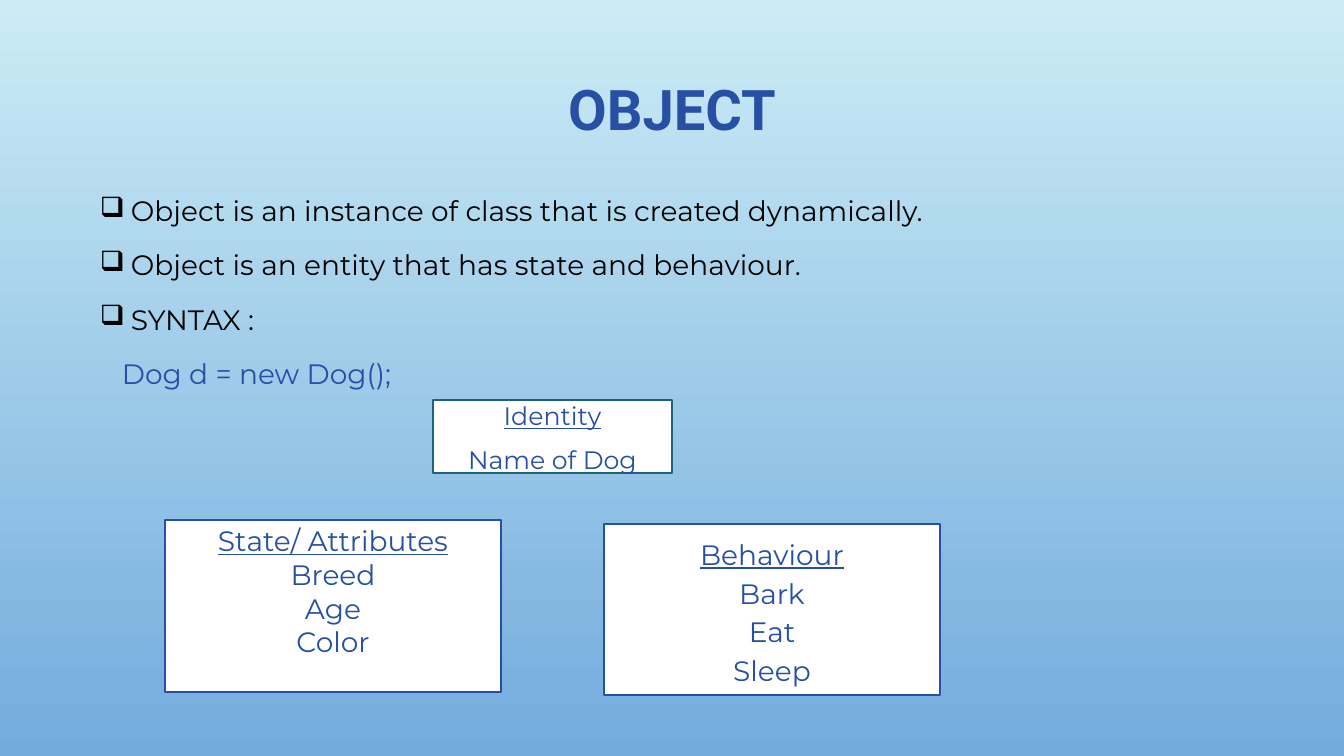
"""Build a slide that explains what an object is, with its identity, state and behaviour."""
from lxml import etree
from pptx import Presentation
from pptx import util as u
from pptx.dml.color import RGBColor
from pptx.enum import shapes, text
from pptx.oxml import ns

EMU_PER_PX = 914400 / 100.8
COLORS = {
    "sky": "CBECF5",
    "deep_sky": "73ABDD",
    "blue": "274FA4",
    "teal": "1C647B",
    "black": "000000",
    "white": "FFFFFF",
}
FONT = "Montserrat"
TITLE = {"text": "OBJECT", "box": (101, 69, 1142, 87)}
BODY_BOX = (90, 182, 1154, 497)
BULLET = "❑"
BULLET_INDENT = 31
CODE_INDENT = 22
BODY_LINES = [
    ("Object is an instance of class that is created dynamically.", True),
    ("Object is an entity that has state and behaviour.", True),
    ("SYNTAX :", True),
    ("Dog d = new Dog();", False),
]
CARDS = [
    {"lines": ["State/ Attributes", "Breed", "Age", "Color"], "box": (165, 520, 336, 172),
     "border": "blue", "size": 20, "spacing": 1.0, "after": 0, "anchor": "TOP", "pad": 4},
    {"lines": ["Behaviour", "Bark", "Eat", "Sleep"], "box": (604, 524, 336, 171),
     "border": "blue", "size": 20, "spacing": 1.07, "after": 2, "anchor": "TOP", "pad": 11},
    {"lines": ["Identity", "Name of Dog"], "box": (433, 400, 239, 73),
     "border": "teal", "size": 18, "spacing": 1.07, "after": 8, "anchor": "MIDDLE", "pad": 5},
]


def px(length):
    return u.Emu(round(length * EMU_PER_PX))


def place(box):
    return [px(length) for length in box]


def color(name):
    return RGBColor.from_string(COLORS[name])


def set_font(paragraph, name, size, color_name):
    font = paragraph.font
    font.name, font.size = name, u.Pt(size)
    font.color.rgb = color(color_name)
    return font


def fill_lines(frame, lines):
    frame.word_wrap = True
    frame.text = "\n".join(lines)
    return frame.paragraphs


def set_indent(paragraph, left, bullet):
    properties = paragraph._p.get_or_add_pPr()
    properties.set("marL", str(px(left)))
    properties.set("indent", str(-px(left) if bullet else 0))
    if bullet:
        etree.SubElement(properties, ns.qn("a:buChar")).set("char", BULLET)
    else:
        etree.SubElement(properties, ns.qn("a:buNone"))


def add_title(slide):
    title = slide.shapes.title
    title.left, title.top, title.width, title.height = place(TITLE["box"])
    frame = title.text_frame
    frame.vertical_anchor = text.MSO_ANCHOR.MIDDLE
    paragraph = fill_lines(frame, [TITLE["text"]])[0]
    paragraph.alignment = text.PP_ALIGN.CENTER
    paragraph.line_spacing = 0.9
    set_font(paragraph, "Roboto", 40, "blue").bold = True


def add_body(slide):
    frame = slide.shapes.add_textbox(*place(BODY_BOX)).text_frame
    paragraphs = fill_lines(frame, [line for line, _ in BODY_LINES])
    for paragraph, (_, bullet) in zip(paragraphs, BODY_LINES):
        paragraph.line_spacing = 1.2
        paragraph.space_before = u.Pt(10)
        set_indent(paragraph, BULLET_INDENT if bullet else CODE_INDENT, bullet)
        set_font(paragraph, FONT, 20, "black" if bullet else "blue")


def add_card(slide, card):
    shape = slide.shapes.add_shape(shapes.MSO_SHAPE.RECTANGLE, *place(card["box"]))
    shape.shadow.inherit = False
    shape.fill.solid()
    shape.fill.fore_color.rgb = color("white")
    shape.line.color.rgb = color(card["border"])
    shape.line.width = u.Pt(1.25)
    frame = shape.text_frame
    frame.vertical_anchor = text.MSO_ANCHOR[card["anchor"]]
    frame.margin_top = px(card["pad"])
    for index, paragraph in enumerate(fill_lines(frame, card["lines"])):
        paragraph.alignment = text.PP_ALIGN.CENTER
        paragraph.line_spacing = card["spacing"]
        paragraph.space_after = u.Pt(card["after"])
        set_font(paragraph, FONT, card["size"], "blue").underline = index == 0


def main():
    presentation = Presentation()
    presentation.slide_width, presentation.slide_height = px(1344), px(756)
    slide = presentation.slides.add_slide(presentation.slide_layouts.get_by_name("Title Only"))
    background = slide.background.fill
    background.gradient()
    background.gradient_angle = 270
    for stop, name in zip(background.gradient_stops, ("sky", "deep_sky")):
        stop.color.rgb = color(name)
    add_title(slide)
    add_body(slide)
    for card in CARDS:
        add_card(slide, card)
    presentation.save("out.pptx")


if __name__ == "__main__":
    main()
